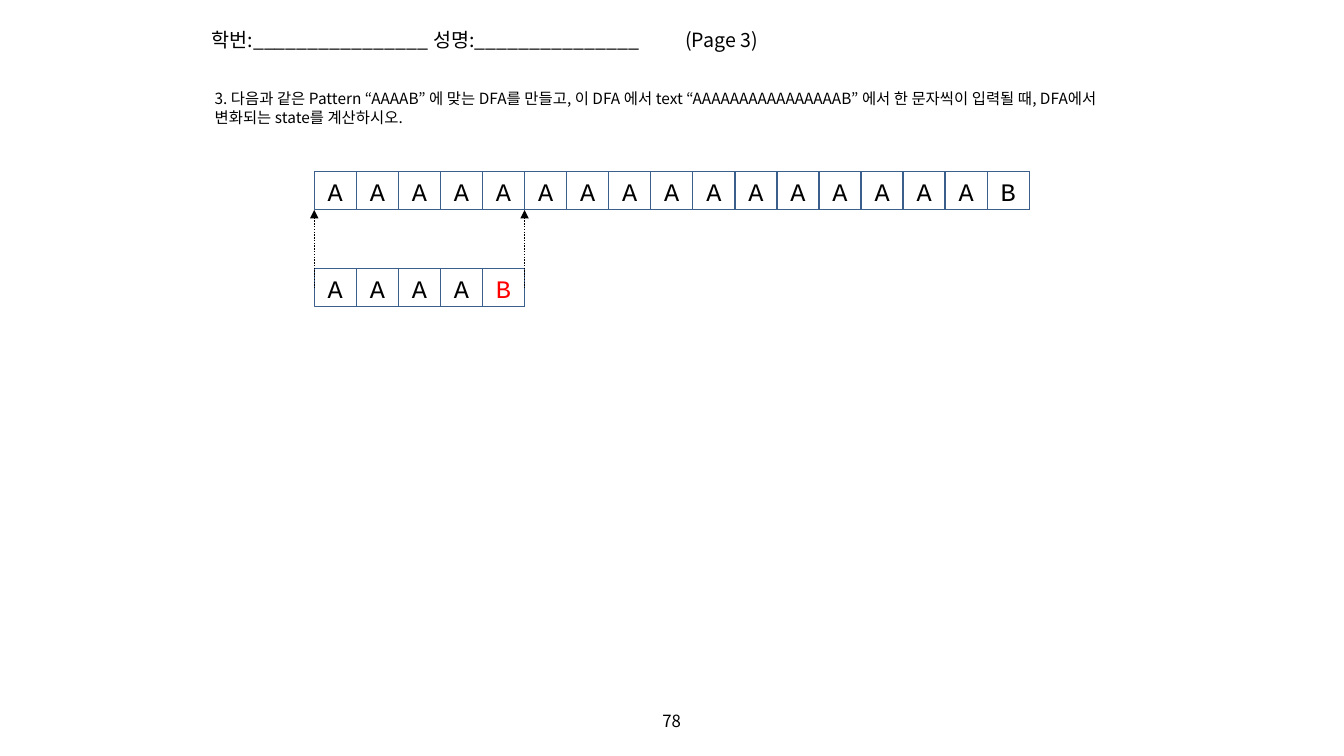
from lxml import etree
from pptx import Presentation
from pptx.dml.color import RGBColor
from pptx.enum.dml import MSO_LINE_DASH_STYLE as Dash
from pptx.enum.shapes import MSO_CONNECTOR as Connector, MSO_SHAPE as Shape
from pptx.enum.text import MSO_ANCHOR as Anchor, PP_ALIGN as Align
from pptx.oxml.ns import qn
from pptx.util import Cm, Pt

BLACK = RGBColor(0x00, 0x00, 0x00)
RED = RGBColor(0xFF, 0x00, 0x00)
BLUE = RGBColor(0x3A, 0x5F, 0x8C)
KOREAN_FONT = "Noto Sans CJK KR"
CELL_FONT = "Courier New"

ROW_LEFT = 7.92
CELL_WIDTH = 1.06
CELL_HEIGHT = 0.97
TEXT_TOP = 4.32
PATTERN_TOP = 6.76
TEXT = "A" * 16 + "B"
PATTERN = "AAAAB"

deck = Presentation()
deck.slide_width = Cm(33.87)
deck.slide_height = Cm(19.05)
page = deck.slides.add_slide(deck.slide_layouts[6])


def write(box, text, size, font, color, align):
    box.text_frame.word_wrap = True
    para = box.text_frame.paragraphs[0]
    para.text = text
    para.alignment = align
    for span in para.runs:
        span.font.size = Pt(size)
        span.font.name = font
        span.font.color.rgb = color
        east_asian = etree.SubElement(span.font._element, qn("a:ea"))
        east_asian.set("typeface", font)
    return para


def draw_line(x, top, bottom, color):
    line = page.shapes.add_connector(
        Connector.STRAIGHT, Cm(x), Cm(top), Cm(x), Cm(bottom))
    line.line.color.rgb = color
    line.line.width = Pt(1)
    etree.SubElement(line._element.spPr, qn("a:effectLst"))
    return line


number = page.shapes.add_textbox(Cm(12.98), Cm(17.65), Cm(7.9), Cm(1.02))
write(number, "78", 12, KOREAN_FONT, BLACK, Align.CENTER)
number.text_frame.vertical_anchor = Anchor.MIDDLE

for letters, top, last_color in [(TEXT, TEXT_TOP, BLACK), (PATTERN, PATTERN_TOP, RED)]:
    for index, letter in enumerate(letters):
        left = ROW_LEFT + index * CELL_WIDTH
        cell = page.shapes.add_shape(
            Shape.RECTANGLE, Cm(left), Cm(top), Cm(CELL_WIDTH), Cm(CELL_HEIGHT))
        cell.shadow.inherit = False
        cell.fill.background()
        cell.line.color.rgb = BLUE
        cell.line.width = Pt(0.75)
        cell.text_frame.vertical_anchor = Anchor.TOP
        color = last_color if letter == "B" else BLACK
        write(cell, letter, 18, CELL_FONT, color, Align.CENTER)
        draw_line(left + CELL_WIDTH, top, top + CELL_HEIGHT, BLUE)

for x in (ROW_LEFT, ROW_LEFT + len(PATTERN) * CELL_WIDTH):
    arrow = draw_line(x, TEXT_TOP + CELL_HEIGHT, PATTERN_TOP + 0.5, BLACK)
    arrow.line.dash_style = Dash.ROUND_DOT
    head = etree.SubElement(arrow.line._get_or_add_ln(), qn("a:headEnd"))
    head.set("type", "triangle")

header = page.shapes.add_textbox(Cm(5.08), Cm(0.58), Cm(15.52), Cm(0.86))
header_para = write(header, "학번:________________ 성명:_______________\t(Page 3)",
                    14, KOREAN_FONT, BLACK, Align.LEFT)
tabs = etree.SubElement(header_para._p.get_or_add_pPr(), qn("a:tabLst"))
tab = etree.SubElement(tabs, qn("a:tab"))
tab.set("pos", str(Cm(11.94)))
tab.set("algn", "l")

question = page.shapes.add_textbox(Cm(5.16), Cm(2.13), Cm(22.81), Cm(1.19))
write(question,
      "3. 다음과 같은 Pattern “AAAAB” 에 맞는 DFA를 만들고, 이 DFA 에서 text "
      "“AAAAAAAAAAAAAAAAB” 에서 한 문자씩이 입력될 때, DFA에서 변화되는 state를 계산하시오.",
      11, KOREAN_FONT, BLACK, Align.LEFT)

deck.save("out.pptx")
